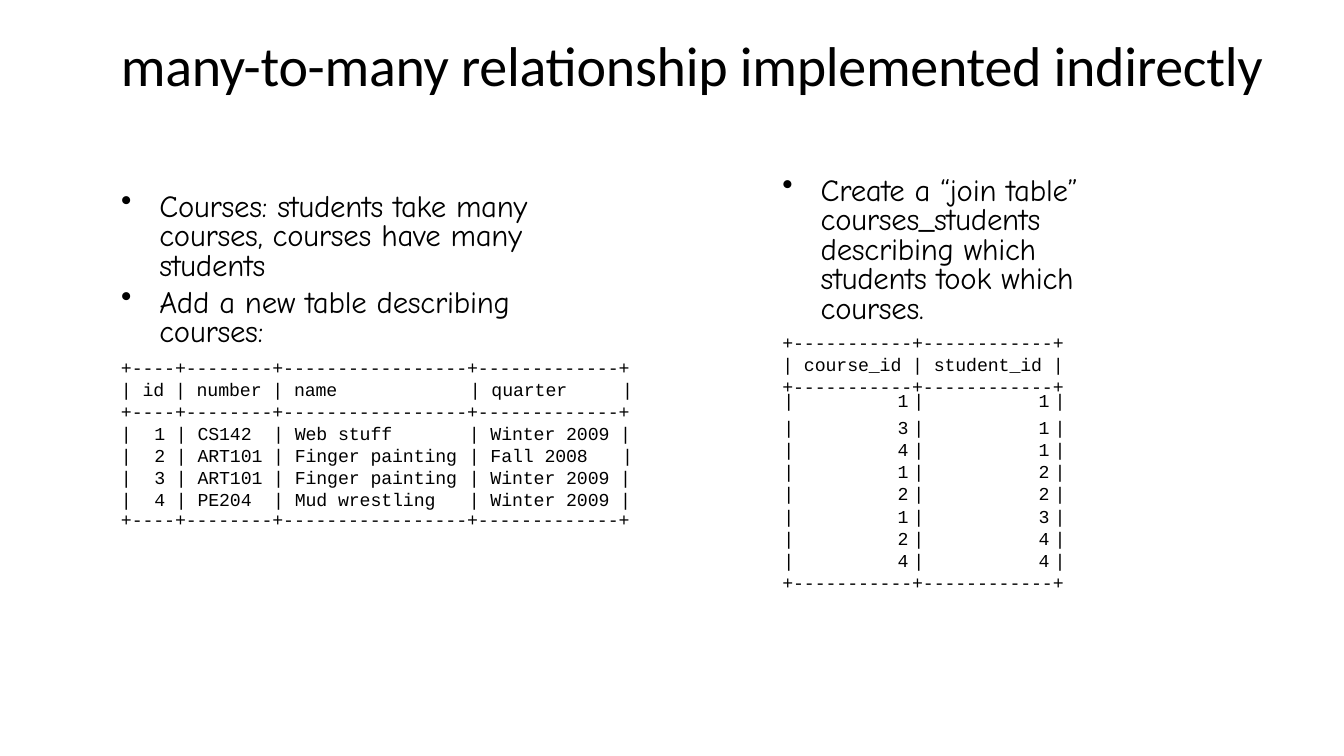
from lxml import etree
from pptx import Presentation
from pptx.dml.color import RGBColor
from pptx.enum.text import MSO_ANCHOR, PP_ALIGN
from pptx.oxml.ns import qn
from pptx.util import Inches, Pt

MIDDLE = MSO_ANCHOR.MIDDLE
LEFT, RIGHT = PP_ALIGN.LEFT, PP_ALIGN.RIGHT
COLORS = {"ink": "000000"}
TITLE = ("Calibri", 40, -20)
BODY = ("Comic Neue", 22, -13)
CODE = ("Courier New", 13, -5)
LINE = 0.22


def add_run(par, text, style):
    name, size, track = style
    run = par.add_run()
    run.text = text
    run.font.name = name
    run.font.size = Pt(size)
    run.font.color.rgb = RGBColor.from_string(COLORS["ink"])
    run.font._element.set("spc", str(track))


def clear_edge(part):
    part.margin_left = part.margin_right = 0
    part.margin_top = part.margin_bottom = 0


def add_tabs(par, stops):
    tabs = etree.SubElement(par._p.get_or_add_pPr(), qn("a:tabLst"))
    for stop in stops:
        etree.SubElement(tabs, qn("a:tab"), pos=str(Inches(stop)), algn="l")


def add_bullet(par):
    props = par._p.get_or_add_pPr()
    props.set("marL", str(Inches(0.39)))
    props.set("indent", str(Inches(-0.38)))
    etree.SubElement(props, qn("a:buChar"), char="•")


def add_text(slide, box, lines, style, bullet=False, stops=(), pitch=None):
    frame = slide.shapes.add_textbox(*map(Inches, box)).text_frame
    frame.word_wrap = True
    clear_edge(frame)
    for i, line in enumerate(lines):
        par = frame.paragraphs[0] if i == 0 else frame.add_paragraph()
        if pitch:
            par.line_spacing = pitch
        if bullet:
            par.space_before = Pt(5.2 if i else 0)
            add_bullet(par)
        else:
            par._p.get_or_add_pPr().set("marL", str(Inches(0.01)))
        if stops:
            add_tabs(par, stops)
        add_run(par, line, style)
    return frame


def add_code(slide, box, lines, stops=()):
    add_text(slide, box, lines, CODE, stops=stops, pitch=Pt(15.7))


def rule(*widths):
    return "+" + "+".join("-" * width for width in widths) + "+"


def add_title(slide, box):
    frame = add_text(slide, box, ["many-to-many relationship implemented indirectly"], TITLE)
    frame.vertical_anchor = MIDDLE


def add_courses(slide, box):
    left, top, width, height = box
    notes = ["Courses: students take many courses, courses have many students",
             "Add a new table describing courses:"]
    add_text(slide, (left, top, 4.49, 1.59), notes, BODY, bullet=True, pitch=0.8)
    edge = rule(4, 8, 17, 13)
    head = top + 1.61
    add_code(slide, (left, head, width, 2 * LINE),
             [edge, "| id | number | name\t| quarter\t|"], (3.46, 4.97))
    add_code(slide, (left, head + 2 * LINE, width, LINE), [edge])
    columns = [
        (0, 0.14, ["|"] * 4),
        (0.33, 1.11, ["1 | CS142", "2 | ART101", "3 | ART101", "4 | PE204"]),
        (1.51, 1.86, ["| Web stuff", "| Finger painting",
                      "| Finger painting", "| Mud wrestling"]),
        (3.45, 1.64, ["| Winter 2009 |", "| Fall 2008\t|",
                      "| Winter 2009 |", "| Winter 2009 |"]),
    ]
    for shift, span, lines in columns:
        add_code(slide, (left + shift, head + 3 * LINE, span, 4 * LINE),
                 lines, (1.52,) if shift == 3.45 else ())
    add_code(slide, (left, top + height - LINE, width, LINE), [edge])


def add_pairs(slide, box):
    pairs = [(1, 1), (3, 1), (4, 1), (1, 2), (2, 2), (1, 3), (2, 4), (4, 4)]
    widths = [0.63, 0.65, 0.7, 0.7, 0.2]
    table = slide.shapes.add_table(len(pairs), len(widths), *map(Inches, box)).table
    table.first_row = table.horz_banding = False
    for column, width in zip(table.columns, widths):
        column.width = Inches(width)
    for i, (course, student) in enumerate(pairs):
        table.rows[i].height = Inches(0.27 if i == 0 else LINE)
        for j, text in enumerate(["|", str(course), "|", str(student), "|"]):
            cell = table.cell(i, j)
            cell.fill.background()
            clear_edge(cell)
            par = cell.text_frame.paragraphs[0]
            par.alignment = LEFT if text == "|" else RIGHT
            if text == "|":
                indent = Inches(0.05 if j else 0.04)
                par._p.get_or_add_pPr().set("marL", str(indent))
            add_run(par, text, CODE)


def add_join(slide, box):
    left, top, width, height = box
    note = "Create a “join table” courses_students describing which students took which courses."
    add_text(slide, (left, top, 3.3, 1.51), [note], BODY, bullet=True, pitch=0.8)
    edge = rule(11, 12)
    add_code(slide, (left, top + 1.53, width, 3 * LINE),
             [edge, "| course_id | student_id |", edge])
    add_code(slide, (left, top + height - LINE, width, LINE), [edge])
    add_pairs(slide, (left - 0.02, top + 2.13, 2.88, 1.78))


def main():
    deck = Presentation()
    deck.slide_width, deck.slide_height = Inches(13.33), Inches(7.5)
    slide = deck.slides.add_slide(deck.slide_layouts[6])
    add_title(slide, (1.19, 0.3, 11.5, 0.67))
    add_courses(slide, (1.19, 1.92, 5.09, 3.34))
    add_join(slide, (7.75, 1.76, 2.83, 4.13))
    deck.save("out.pptx")


if __name__ == "__main__":
    main()
